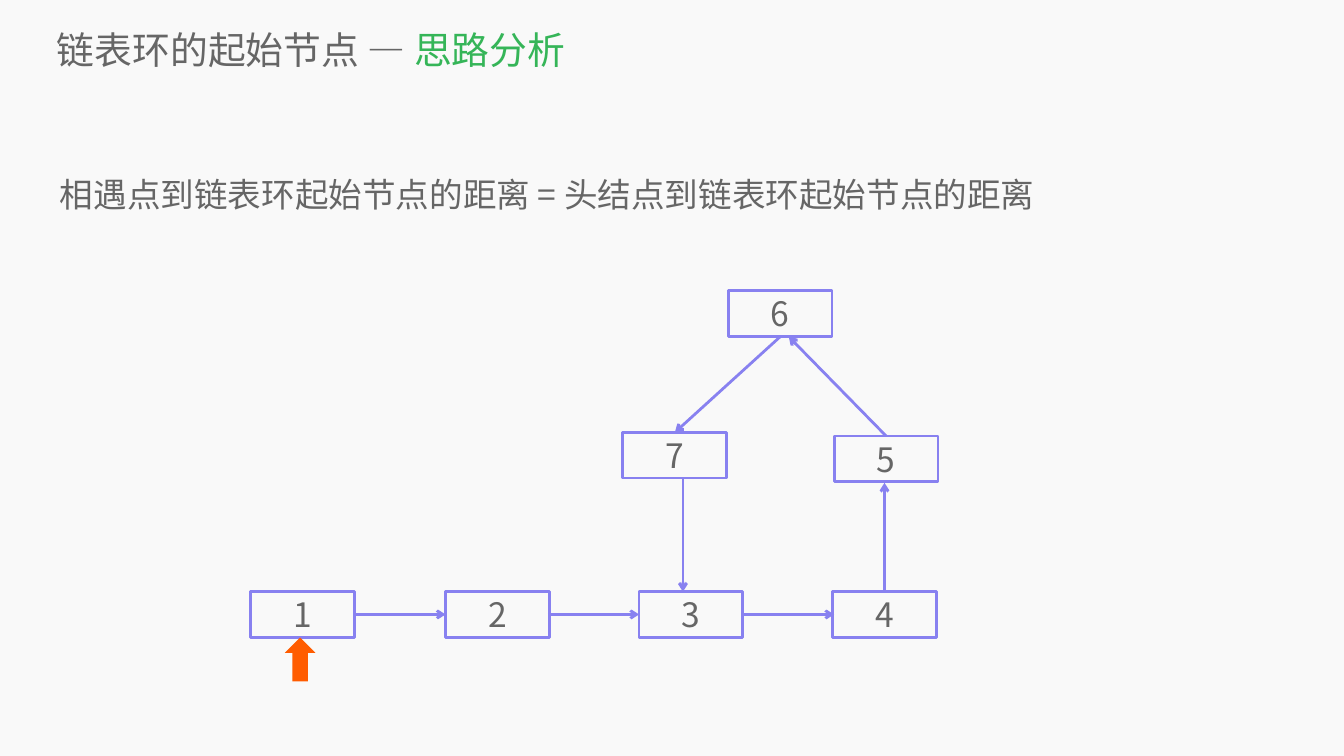
from pptx import Presentation
from pptx.dml.color import RGBColor
from pptx.enum import shapes, text
from pptx.oxml import ns
from pptx.util import Pt
from lxml import etree

FONT = "Noto Sans CJK SC"
GREY, GREEN, VIOLET, ORANGE = "666666", "35B558", "8881F0", "FF5C00"
WIDE, HIGH = 148.3, 65


def paint(color, value):
    color.rgb = RGBColor.from_string(value)


class Deck:
    def __init__(self):
        self.show = Presentation()
        self.show.slide_width, self.show.slide_height = Pt(1920), Pt(1080)
        self.slide = self.show.slides.add_slide(self.show.slide_layouts[6])
        fill = self.slide.background.fill
        fill.solid()
        paint(fill.fore_color, "F9F9F9")

    def style(self, run, size, color=GREY):
        run.font.size, run.font.name = Pt(size), FONT
        paint(run.font.color, color)
        east = etree.SubElement(run.font._element, ns.qn("a:ea"))
        east.set("typeface", FONT)

    def frame(self, shape, anchor):
        """Strip the margins of a shape's text and anchor it."""
        body = shape.text_frame
        body.margin_left = body.margin_right = 0
        body.margin_top = body.margin_bottom = 0
        body.word_wrap, body.vertical_anchor = True, anchor
        return body

    def label(self, box, size, parts, anchor, lines=1.0):
        """Write one paragraph made of (words, colour) parts."""
        shape = self.slide.shapes.add_textbox(*map(Pt, box))
        para = self.frame(shape, anchor).paragraphs[0]
        para.line_spacing = lines
        for words, color in parts:
            run = para.add_run()
            run.text = words
            self.style(run, size, color)

    def node(self, name, left, top):
        shape = self.slide.shapes.add_shape(
            shapes.MSO_SHAPE.RECTANGLE, Pt(left), Pt(top), Pt(WIDE), Pt(HIGH))
        shape.shadow.inherit = False
        shape.fill.background()
        paint(shape.line.color, VIOLET)
        shape.line.width = Pt(4)
        body = self.frame(shape, text.MSO_ANCHOR.MIDDLE)
        body.text = name
        para = body.paragraphs[0]
        para.alignment = text.PP_ALIGN.CENTER
        self.style(para.runs[0], 48)

    def link(self, *ends):
        """Draw an arrow from x1, y1 to x2, y2."""
        line = self.slide.shapes.add_connector(
            shapes.MSO_CONNECTOR.STRAIGHT, *map(Pt, ends))
        paint(line.line.color, VIOLET)
        line.line.width = Pt(4)
        tip = etree.SubElement(line.line._get_or_add_ln(), ns.qn("a:tailEnd"))
        tip.set("type", "arrow")
        etree.SubElement(line._element.spPr, ns.qn("a:effectLst"))

    def marker(self, *box):
        shape = self.slide.shapes.add_shape(
            shapes.MSO_SHAPE.UP_ARROW, *map(Pt, box))
        shape.shadow.inherit = False
        shape.fill.solid()
        paint(shape.fill.fore_color, ORANGE)
        shape.line.fill.background()


def main():
    deck = Deck()
    deck.label((81.4, 33.8, 1811.5, 73.4), 54,
               [("链表环的起始节点 — ", GREY), ("思路分析", GREEN)],
               text.MSO_ANCHOR.MIDDLE)
    deck.label((85.7, 226, 1748, 809), 48,
               [("相遇点到链表环起始节点的距离 = 头结点到链表环起始节点的距离", GREY)],
               text.MSO_ANCHOR.TOP, 1.4)

    base = 845.3
    nodes = [(358, base), (636.5, base), (913, base), (1189.5, base),
             (1191.6, 622.8), (1040.4, 415.4), (889.2, 617.8)]
    for count, (left, top) in enumerate(nodes, 1):
        deck.node(str(count), left, top)

    row = base + HIGH / 2
    for start in (506.2, 782.7, 1061.3):
        deck.link(start, row, start + 130.3, row)
    deck.link(1263.6, base, 1263.6, 689.8)
    deck.link(1265.8, 622.8, 1126.8, 481)
    deck.link(1114.6, 481, 964.1, 617.8)
    deck.link(975.6, 682.6, 975.6, base)

    deck.marker(406.8, 910.8, 43.9, 62.6)
    deck.show.save("out.pptx")


if __name__ == "__main__":
    main()
